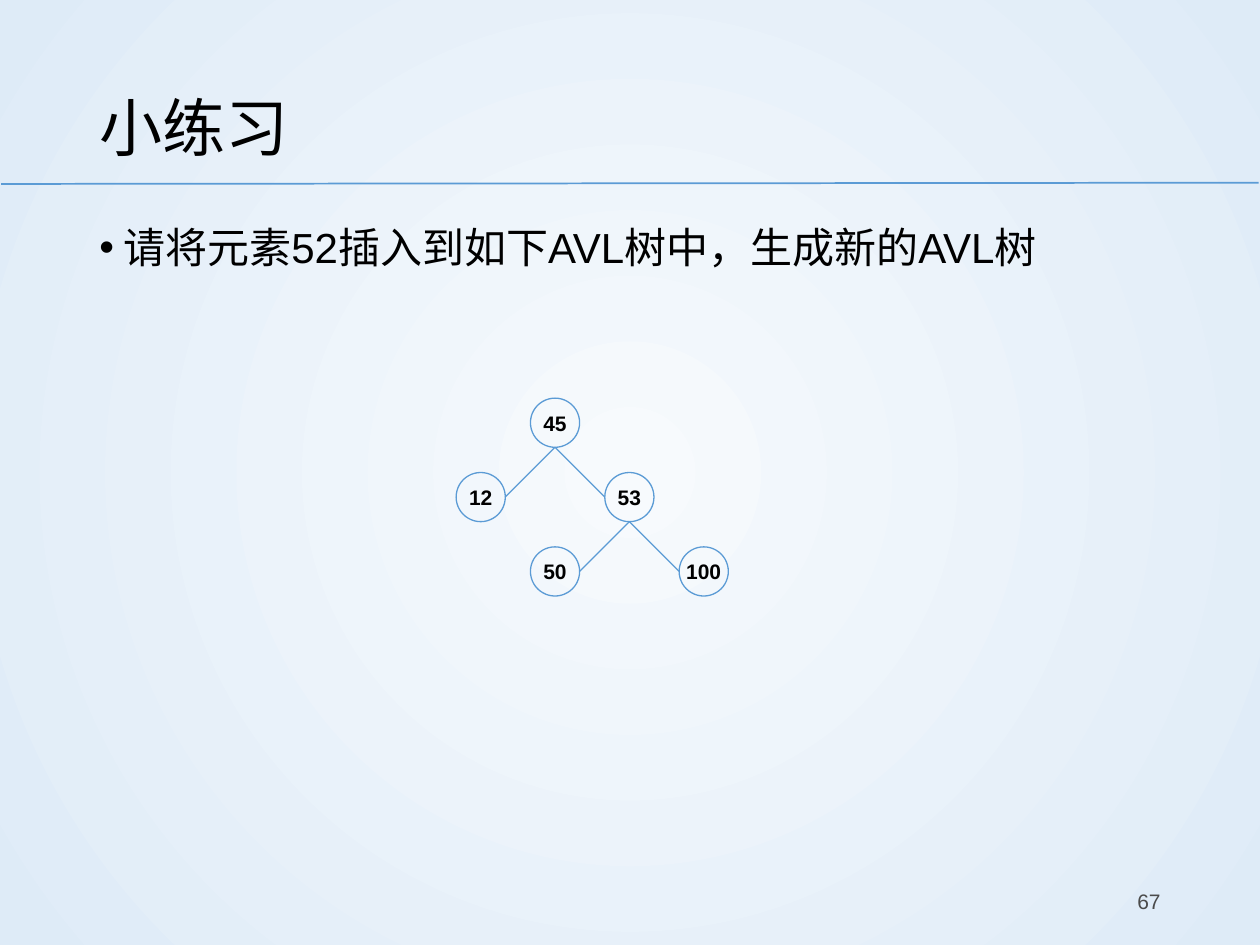
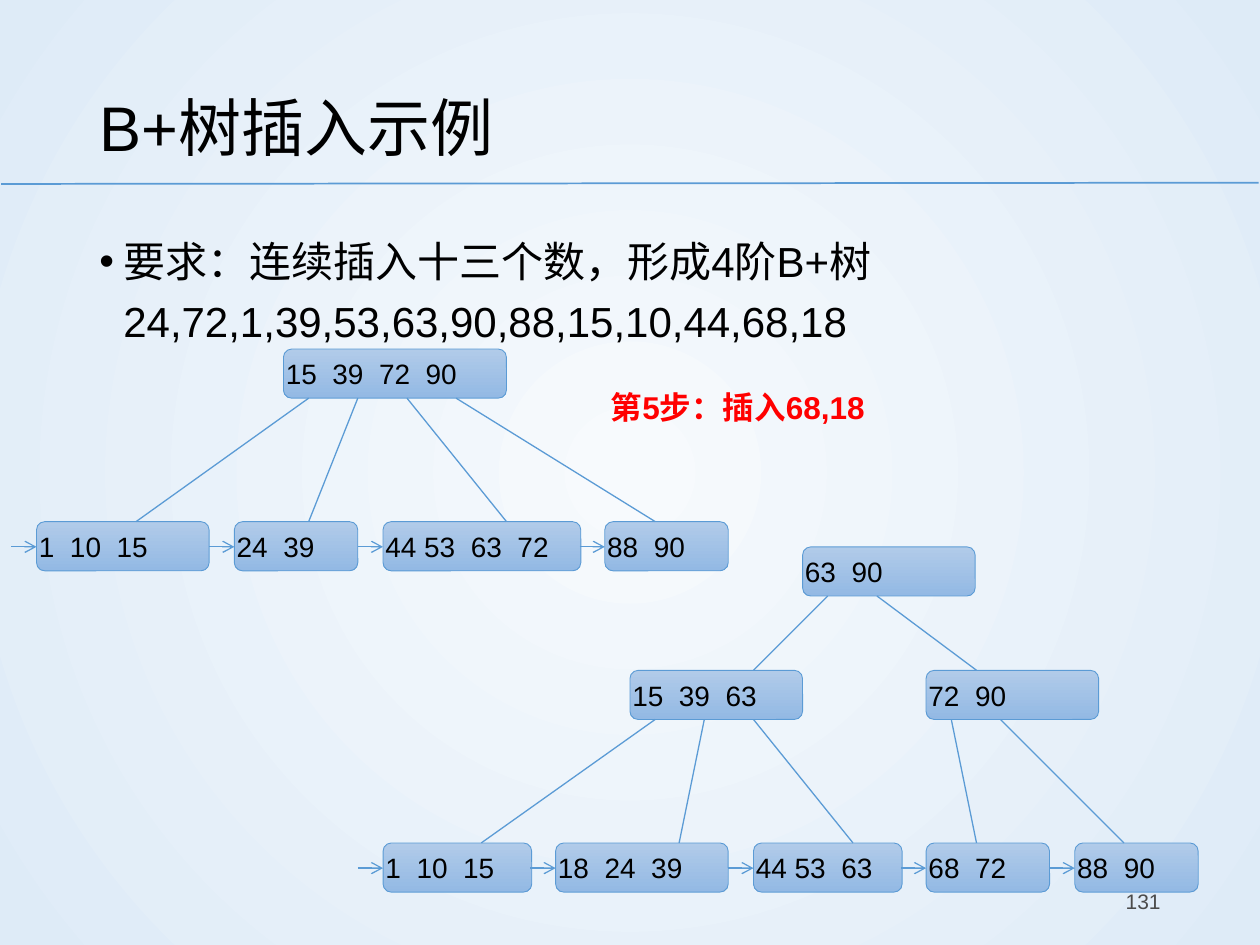
from lxml.etree import SubElement
from pptx import Presentation
from pptx.dml.color import RGBColor
from pptx.enum.shapes import MSO_CONNECTOR, MSO_SHAPE
from pptx.enum.text import MSO_ANCHOR, PP_ALIGN
from pptx.oxml.ns import qn
from pptx.util import Inches, Pt

BLUE = "5B9BD5"
NODE = 0.39  # height of every tree node


def write(sp, text, size=12, color="000000", bold=False, align=PP_ALIGN.LEFT,
          anchor=MSO_ANCHOR.MIDDLE, spacing=1.0, insets=(0.1, 0.05, 0.1, 0.05),
          wrap=True, bullet=False, tabs=()):
    tf = sp.text_frame
    tf.word_wrap = wrap
    tf.vertical_anchor = anchor
    tf.margin_left, tf.margin_top, tf.margin_right, tf.margin_bottom = map(Inches, insets)
    p = tf.paragraphs[0]
    p.text = text
    p.alignment = align
    p.line_spacing = spacing
    pPr = p._p.get_or_add_pPr()
    if bullet:
        pPr.set("marL", str(Inches(0.19)))
        pPr.set("indent", str(-Inches(0.19)))
        SubElement(pPr, qn("a:buFont"), typeface="Arial")
        SubElement(pPr, qn("a:buChar"), char="•")
    if tabs:
        tab_list = SubElement(pPr, qn("a:tabLst"))
        for x in tabs:
            SubElement(tab_list, qn("a:tab"), pos=str(Inches(x)), algn="l")
    for r in p.runs:
        r.font.name = "Arial"
        r.font.size = Pt(size)
        r.font.bold = bold
        r.font.color.rgb = RGBColor.from_string(color)


def connect(s, x1, y1, x2, y2, width=0.75, arrow=False):
    line = s.shapes.add_connector(MSO_CONNECTOR.STRAIGHT, *map(Inches, (x1, y1, x2, y2)))
    line.line.color.rgb = RGBColor.from_string(BLUE)
    line.line.width = Pt(width)
    if arrow:
        SubElement(line.line._get_or_add_ln(), qn("a:tailEnd"), type="arrow")
    SubElement(line._element.spPr, qn("a:effectLst"))


prs = Presentation()
prs.slide_width, prs.slide_height = Inches(10), Inches(7.5)

# Shared background: a circular gradient on the master
master = prs.slide_master
fill = master.background.fill
fill.gradient()
for stop, color in zip(fill.gradient_stops, ("F7FAFD", "DEEBF7")):
    stop.color.rgb = RGBColor.from_string(color)
linear = master.element.find(".//" + qn("a:lin"))
grad = linear.getparent()
grad.remove(linear)
circle = SubElement(grad, qn("a:path"), path="circle")
SubElement(circle, qn("a:fillToRect"), l="50000", t="50000", r="50000", b="50000")

# Shared frame: rule, title, bulleted task and page number
pages = [
    ("小练习", "请将元素52插入到如下AVL树中，生成新的AVL树", 1.63, 5.13, "67"),
    ("B+树插入示例",
     "要求：连续插入十三个数，形成4阶B+树\v24,72,1,39,53,63,90,88,15,10,44,68,18",
     1.74, 4.76, "131"),
]
for title, task, top, height, number in pages:
    s = prs.slides.add_slide(prs.slide_layouts[5])
    connect(s, 0.01, 1.46, 9.99, 1.45, width=1)
    sp = s.shapes.title
    sp.left, sp.top, sp.width, sp.height = map(Inches, (0.69, 0.4, 8.62, 1.08))
    write(sp, title, size=36, spacing=1.2)
    sp = s.shapes.add_textbox(*map(Inches, (0.69, top, 8.62, height)))
    write(sp, task, size=24, anchor=MSO_ANCHOR.TOP, spacing=1.2, bullet=True)
    sp = s.shapes.add_textbox(*map(Inches, (7.06, 6.95, 2.25, 0.4)))
    write(sp, number, color="4B4B4B", align=PP_ALIGN.RIGHT)

avl_slide, bplus_slide = prs.slides

# AVL tree: key -> (column, row), on a square grid
STEP = 0.59
avl = {"45": (1, 0), "12": (0, 1), "53": (2, 1), "100": (3, 2), "50": (1, 2)}
for key, (col, row) in avl.items():
    sp = avl_slide.shapes.add_shape(
        MSO_SHAPE.OVAL, Inches(3.62 + STEP * col), Inches(3.16 + STEP * row),
        Inches(NODE), Inches(NODE))
    sp.shadow.inherit = False
    sp.fill.background()
    sp.line.color.rgb = RGBColor.from_string(BLUE)
    sp.line.width = Pt(0.75)
    write(sp, key, bold=True, align=PP_ALIGN.CENTER, insets=(0, 0, 0, 0), wrap=False)

for parent, child in (("45", "12"), ("45", "53"), ("53", "100"), ("53", "50")):
    (pc, pr), (cc, cr) = avl[parent], avl[child]
    side = NODE if cc < pc else 0
    connect(avl_slide, 3.62 + STEP * pc + NODE / 2, 3.16 + STEP * pr + NODE,
            3.62 + STEP * cc + side, 3.16 + STEP * cr + NODE / 2)

# B+ trees: left, top, width, keys, top of the children, where each pointer lands
sp = bplus_slide.shapes.add_textbox(*map(Inches, (4.75, 3.03, 3.73, 0.4)))
write(sp, "第5步：插入68,18", size=18, color="FF0000", bold=True, anchor=MSO_ANCHOR.TOP)

inner_nodes = [
    (2.25, 2.77, 1.77, "15,39,72,90", 4.14, (1.08, 2.45, 4.02, 5.2)),
    (6.37, 4.34, 1.37, "63,90", 5.32, (5.98, 7.75)),
    (5.0, 5.32, 1.37, "15,39,63", 6.69, (3.82, 5.39, 6.77)),
    (7.35, 5.32, 1.37, "72,90", 6.69, (7.75, 8.92)),
]
leaves = [
    (0.29, 4.14, 1.37, "1,10,15"),
    (1.86, 4.14, 0.98, "24,39"),
    (3.04, 4.14, 1.57, "44 53,63,72"),
    (4.8, 4.14, 0.98, "88,90"),
    (3.04, 6.69, 1.18, "1,10,15"),
    (4.41, 6.69, 1.37, "18,24,39"),
    (5.98, 6.69, 1.18, "44 53,63"),
    (7.35, 6.69, 0.98, "68,72"),
    (8.53, 6.69, 0.98, "88,90"),
]
for left, top, width, keys, *_ in inner_nodes + leaves:
    sp = bplus_slide.shapes.add_shape(
        MSO_SHAPE.ROUNDED_RECTANGLE, *map(Inches, (left, top, width, NODE)))
    sp.shadow.inherit = False
    sp.fill.gradient()
    sp.fill.gradient_angle = 270
    for stop, color in zip(sp.fill.gradient_stops, ("B1CBE9", "93B9E4")):
        stop.color.rgb = RGBColor.from_string(color)
    sp.line.color.rgb = RGBColor.from_string(BLUE)
    sp.line.width = Pt(0.5)
    # A two-digit key and the gap after it take 0.37 inches; a space is half a digit
    keys = keys.split(",")
    tabs, x = [], 0
    for key in keys[:-1]:
        x += 0.37 / 3 * (len(key) + 1 - key.count(" ") / 2)
        tabs.append(x)
    write(sp, "\t".join(keys), size=16, insets=(0, 0, 0.2, 0), tabs=tabs)

for left, top, _, _, child_top, landings in inner_nodes:
    for i, x in enumerate(landings):
        connect(bplus_slide, left + 0.2 + 0.39 * i, top + NODE, x, child_top)

for left, top, *_ in leaves:
    connect(bplus_slide, left - 0.2, top + 0.2, left, top + 0.2, arrow=True)

prs.save("out.pptx")
